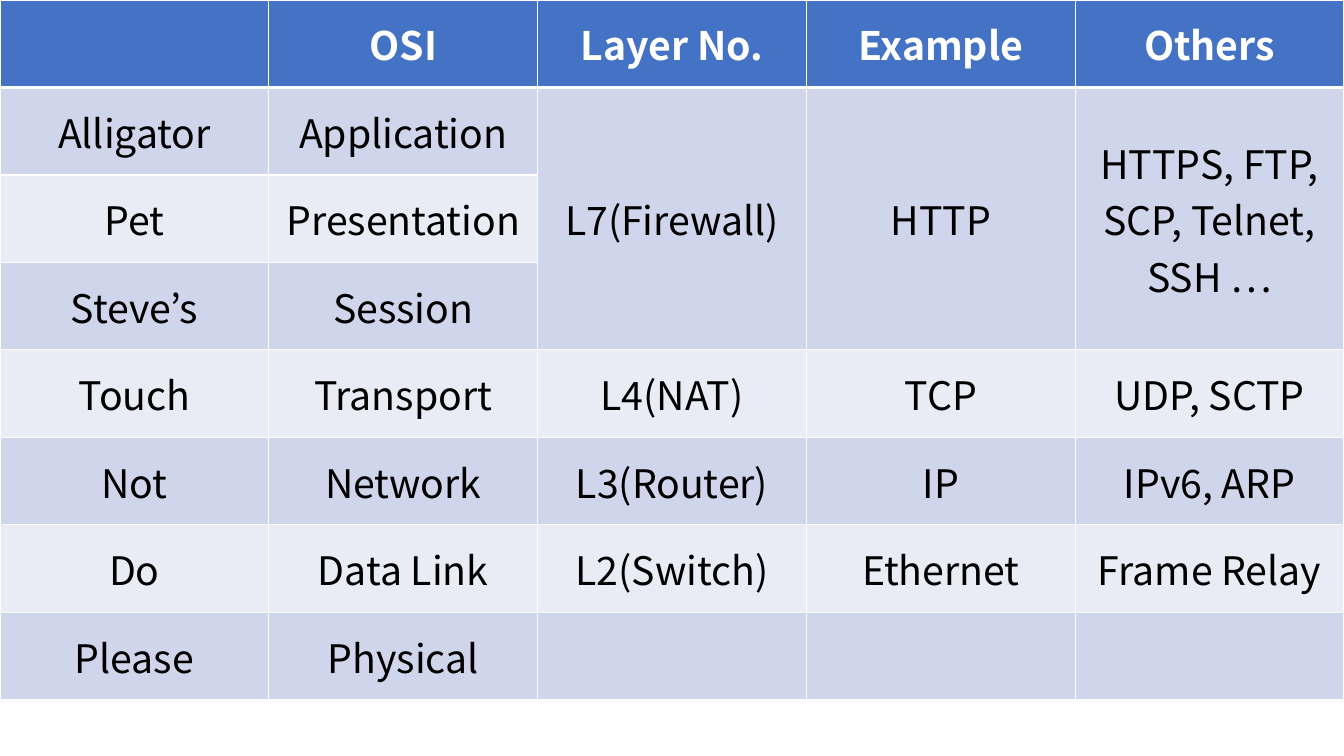
from dataclasses import dataclass

from lxml.etree import SubElement
from pptx import Presentation
from pptx.dml.color import RGBColor as RGB
from pptx.enum.text import MSO_ANCHOR as ANCHOR, PP_ALIGN as ALIGN
from pptx.oxml.ns import qn
from pptx.util import Emu, Pt

SCALE = 914400 / 100.8
WIDTH, HEIGHT = 1344, 756
TABLE_HEIGHT = 700


@dataclass(frozen=True)
class Theme:
    font: str = "Noto Sans CJK KR"
    size: int = 28
    header: str = "4472C4"
    bands: tuple = ("CFD5EA", "E9EBF5")
    border: str = "FFFFFF"
    header_text: str = "FFFFFF"
    text: str = "000000"
    thin: int = 1
    thick: int = 3


def px(n):
    return Emu(round(n * SCALE))


def write(tf, text, *, font, size, color, bold=False, align=ALIGN.CENTER):
    tf.word_wrap = True
    p = tf.paragraphs[0]
    p.alignment = align
    if not text:
        p.font.size = Pt(size)
        return
    r = p.add_run()
    r.text = text
    r.font.name = font
    r.font.size = Pt(size)
    r.font.bold = bold
    r.font.color.rgb = RGB.from_string(color)
    SubElement(r.font._element, qn("a:ea"), typeface=font)


class Deck:
    def __init__(self, theme):
        self.theme = theme
        self.prs = Presentation()
        self.prs.slide_width, self.prs.slide_height = px(WIDTH), px(HEIGHT)
        self.s = self.prs.slides.add_slide(self.prs.slide_layouts[6])

    def borders(self, cell, **widths):
        tcPr = cell._tc.get_or_add_tcPr()
        for side in "LRTB":
            width = Pt(widths.get(side, self.theme.thin))
            ln = SubElement(tcPr, qn(f"a:ln{side}"), w=str(width))
            fill = SubElement(ln, qn("a:solidFill"))
            SubElement(fill, qn("a:srgbClr"), val=self.theme.border)

    def table(self, rows, merges, left, top, width, height):
        t = self.theme
        box = px(left), px(top), px(width), px(height)
        table = self.s.shapes.add_table(len(rows), len(rows[0]), *box).table
        for i, row in enumerate(rows):
            header = i == 0
            widths = {0: {"B": t.thick}, 1: {"T": t.thick}}.get(i, {})
            for j, text in enumerate(row):
                cell = table.cell(i, j)
                self.borders(cell, **widths)
                cell.fill.solid()
                color = t.header if header else t.bands[(i - 1) % 2]
                cell.fill.fore_color.rgb = RGB.from_string(color)
                cell.vertical_anchor = ANCHOR.MIDDLE
                write(cell.text_frame, text, font=t.font, size=t.size, bold=header,
                      color=t.header_text if header else t.text)
        for first, last in merges:
            table.cell(*first).merge(table.cell(*last))


LAYERS = [
    ("", "OSI", "Layer No.", "Example", "Others"),
    ("Alligator", "Application", "L7(Firewall)", "HTTP", "HTTPS, FTP, SCP, Telnet, SSH …"),
    ("Pet", "Presentation", "", "", ""),
    ("Steve’s", "Session", "", "", ""),
    ("Touch", "Transport", "L4(NAT)", "TCP", "UDP, SCTP"),
    ("Not", "Network", "L3(Router)", "IP", "IPv6, ARP"),
    ("Do", "Data Link", "L2(Switch)", "Ethernet", "Frame Relay"),
    ("Please", "Physical", "", "", ""),
]
UPPER_LAYERS = [((1, col), (3, col)) for col in (2, 3, 4)]

deck = Deck(Theme())
deck.table(LAYERS, UPPER_LAYERS, 0, 0, WIDTH, TABLE_HEIGHT)
deck.prs.save("out.pptx")
